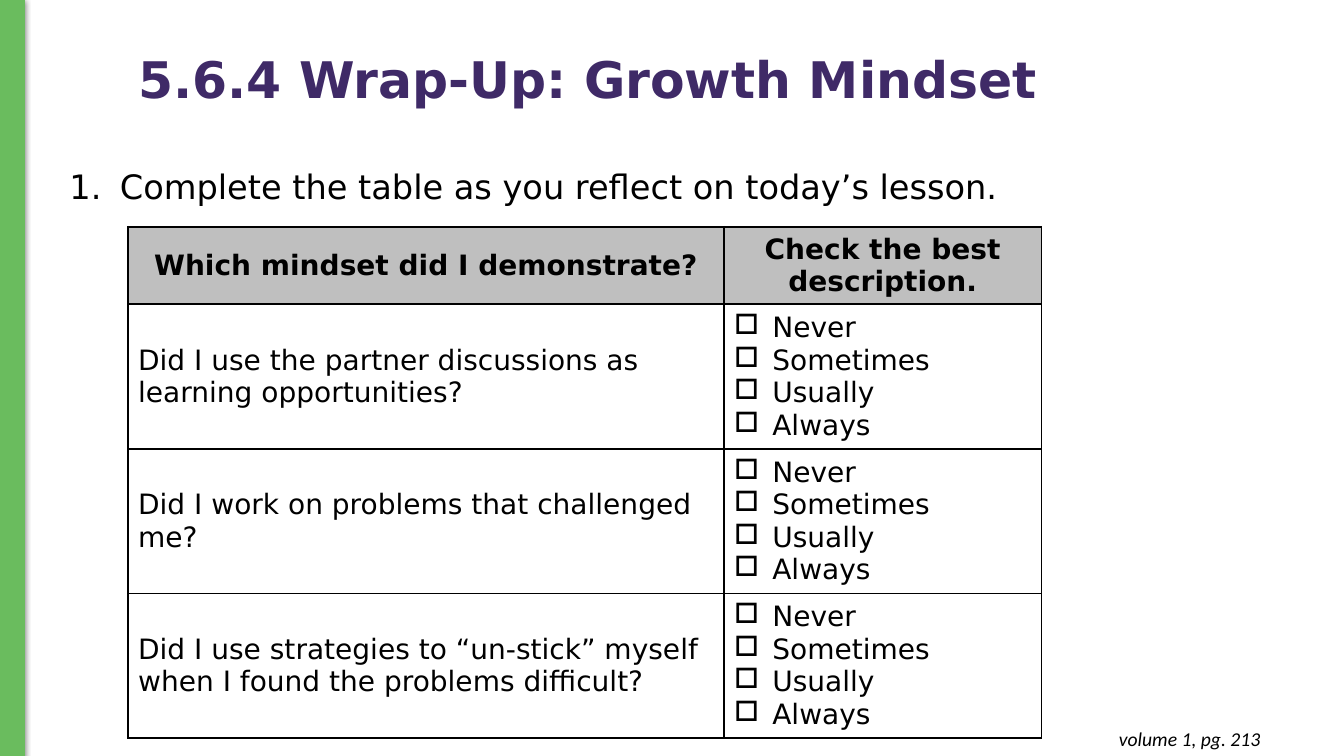
from lxml import etree
from pptx import Presentation
from pptx.dml.color import RGBColor
from pptx.enum.shapes import MSO_SHAPE
from pptx.enum.text import MSO_ANCHOR, PP_ALIGN
from pptx.oxml.ns import qn
from pptx.util import Pt

EMU_PER_PX = 9144
RECTANGLE = MSO_SHAPE.RECTANGLE
MIDDLE = MSO_ANCHOR.MIDDLE
LEFT, CENTER, RIGHT = PP_ALIGN.LEFT, PP_ALIGN.CENTER, PP_ALIGN.RIGHT

GREEN = RGBColor(0x6A, 0xBC, 0x5E)
PURPLE = RGBColor(0x3F, 0x2A, 0x67)
GRAY = RGBColor(0xBF, 0xBF, 0xBF)
BLACK = RGBColor(0, 0, 0)
WHITE = RGBColor(0xFF, 0xFF, 0xFF)

MAIN_FONT = "DejaVu Sans"
NOTE_FONT = "Calibri"

HEADINGS = ["Which mindset did I demonstrate?", "Check the best description."]
QUESTIONS = [
    "Did I use the partner discussions as learning opportunities?",
    "Did I work on problems that challenged me?",
    "Did I use strategies to “un-stick” myself when I found the problems difficult?",
]
ANSWERS = ["Never", "Sometimes", "Usually", "Always"]
COLUMN_WIDTHS = [591, 315]
HEADING_HEIGHT = 77
QUESTION_HEIGHT = 143


def px(*lengths):
    return [length * EMU_PER_PX for length in lengths]


def add_color(parent, color, opacity=100):
    node = etree.SubElement(parent, qn("a:srgbClr"), val=str(color))
    if opacity < 100:
        etree.SubElement(node, qn("a:alpha"), val=str(opacity * 1000))


def format_para(para, size, color=BLACK, font=MAIN_FONT, bold=False,
                italic=False, align=LEFT):
    para.alignment = align
    para.font.name = font
    para.font.size = Pt(size)
    para.font.bold = bold
    para.font.italic = italic
    para.font.color.rgb = color


def add_bullet(para, indent, tag, **attributes):
    """Give a paragraph a black bullet or number with a hanging indent."""
    properties = para._p.get_or_add_pPr()
    [hang] = px(indent)
    properties.set("marL", str(hang))
    properties.set("indent", str(-hang))
    add_color(etree.SubElement(properties, qn("a:buClr")), BLACK)
    etree.SubElement(properties, qn(tag), **attributes)


def add_side_bar(page):
    bar = page.shapes.add_shape(RECTANGLE, *px(0, -1, 24, 751))
    bar.fill.solid()
    bar.fill.fore_color.rgb = GREEN
    bar.line.color.rgb = GREEN
    bar.line.width = Pt(0.75)
    bar.shadow.inherit = False
    effects = bar._element.spPr.find(qn("a:effectLst"))
    shadow = etree.SubElement(
        effects, qn("a:outerShdw"), blurRad=str(Pt(4.5)), dist=str(Pt(1.5)),
        dir=str(90 * 60000), rotWithShape="0")
    add_color(shadow, BLACK, 50)


def set_title(page, text):
    title = page.shapes.title
    title.left, title.top, title.width, title.height = px(127, 9, 1035, 145)
    frame = title.text_frame
    frame.text = text
    frame.vertical_anchor = MIDDLE
    para = frame.paragraphs[0]
    para.line_spacing = 0.9
    format_para(para, 36, PURPLE, bold=True)


def add_text(page, text, left, top, width, height):
    box = page.shapes.add_textbox(*px(left, top, width, height))
    box.text_frame.word_wrap = True
    box.text_frame.text = text
    return box.text_frame


def add_borders(cell):
    properties = cell._tc.get_or_add_tcPr()
    for index, side in enumerate(("a:lnL", "a:lnR", "a:lnT", "a:lnB")):
        line = etree.Element(qn(side), w=str(Pt(1.5)))
        add_color(etree.SubElement(line, qn("a:solidFill")), BLACK)
        properties.insert(index, line)


def fill_cell(cell, lines, color=WHITE, boxes=False, bold=False, align=LEFT):
    cell.fill.solid()
    cell.fill.fore_color.rgb = color
    cell.vertical_anchor = MIDDLE
    add_borders(cell)
    cell.text_frame.text = "\n".join(lines)
    for para in cell.text_frame.paragraphs:
        if boxes:
            add_bullet(para, 38, "a:buChar", char="□")
        format_para(para, 20, bold=bold, align=align)


def add_mindset_table(page):
    height = HEADING_HEIGHT + QUESTION_HEIGHT * len(QUESTIONS)
    frame = page.shapes.add_table(
        len(QUESTIONS) + 1, len(HEADINGS),
        *px(127, 225, sum(COLUMN_WIDTHS), height))
    table = frame.table
    table.first_row = False
    table.horz_banding = False
    for column, width in zip(table.columns, px(*COLUMN_WIDTHS)):
        column.width = width
    heights = [HEADING_HEIGHT] + [QUESTION_HEIGHT] * len(QUESTIONS)
    for row, row_height in zip(table.rows, px(*heights)):
        row.height = row_height
    for index, heading in enumerate(HEADINGS):
        fill_cell(table.cell(0, index), [heading], GRAY, bold=True, align=CENTER)
    for index, question in enumerate(QUESTIONS, start=1):
        fill_cell(table.cell(index, 0), [question])
        fill_cell(table.cell(index, 1), ANSWERS, boxes=True)


def main():
    deck = Presentation()
    deck.slide_width, deck.slide_height = px(1333, 750)
    page = deck.slides.add_slide(deck.slide_layouts[5])

    add_side_bar(page)
    set_title(page, "5.6.4 Wrap-Up: Growth Mindset")

    task = add_text(page, "Complete the table as you reflect on today’s lesson.",
                    59, 160, 1181, 91).paragraphs[0]
    add_bullet(task, 50, "a:buAutoNum", type="arabicPeriod")
    format_para(task, 24)

    add_mindset_table(page)

    note = add_text(page, "volume 1, pg. 213", 972, 711, 288, 44)
    note.margin_top, note.margin_bottom = px(10, 10)
    format_para(note.paragraphs[0], 14, font=NOTE_FONT, italic=True, align=RIGHT)

    deck.save("out.pptx")


if __name__ == "__main__":
    main()
